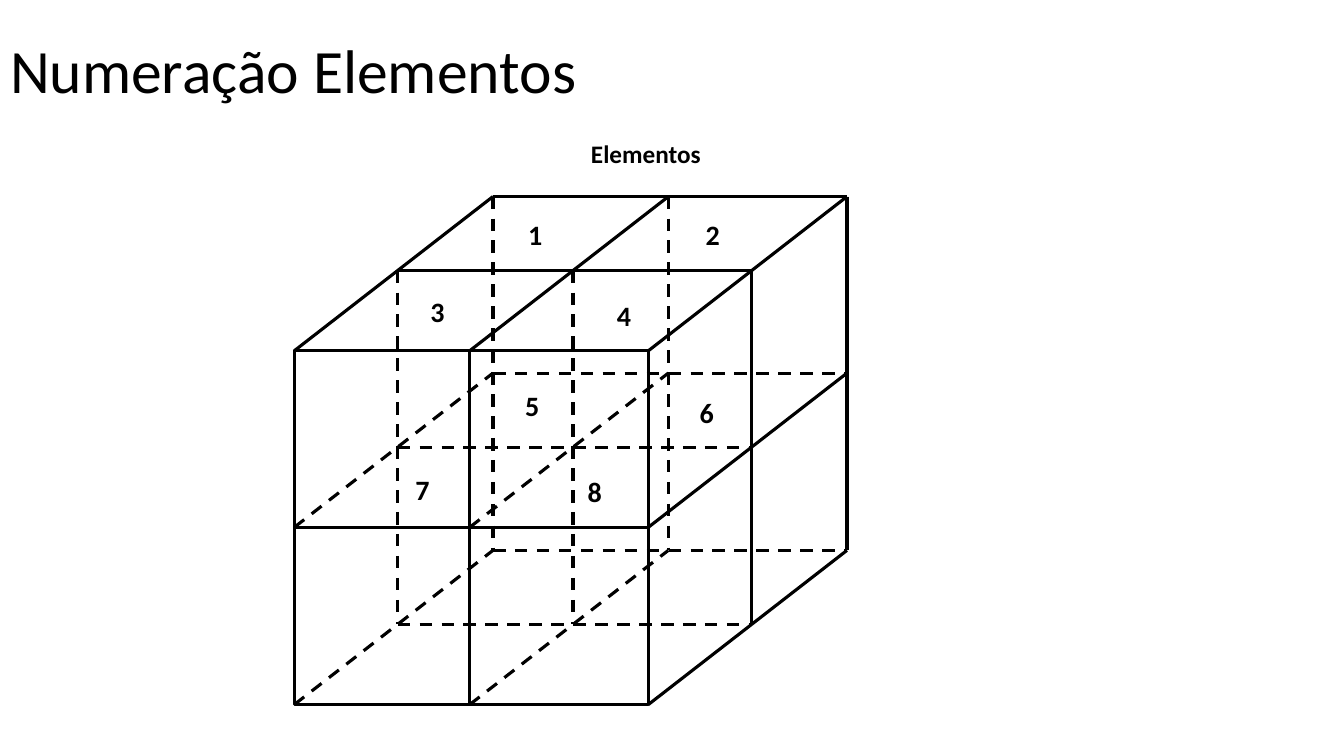
from dataclasses import dataclass
from itertools import product

from lxml.etree import SubElement
from pptx import Presentation
from pptx.dml.color import RGBColor
from pptx.enum.dml import MSO_LINE
from pptx.enum.shapes import MSO_CONNECTOR, MSO_SHAPE
from pptx.enum.text import MSO_ANCHOR, MSO_AUTO_SIZE, PP_ALIGN
from pptx.oxml.ns import qn
from pptx.util import Inches, Pt

COLORS = {"ink": "000000", "paper": "FFFFFF"}
FONT = "Calibri"
LINE_WIDTH = Pt(2.24)

COLUMNS = (21.9, 34.95, 48.24)
ROWS = (46.4, 69.75, 93.2)
DEPTHS = (0, 0.52, 1)
DEPTH_SHIFT = (14.78, -20.4)
LAST = 2


@dataclass(frozen=True)
class Box:
    left: float
    top: float
    width: float
    height: float


@dataclass(frozen=True)
class ElementLabel:
    number: int
    left: float
    top: float


@dataclass(frozen=True)
class Node:
    column: int
    row: int
    depth: int

    def position(self) -> tuple[int, int]:
        shift = DEPTHS[self.depth]
        return (across(COLUMNS[self.column] + shift * DEPTH_SHIFT[0]),
                down(ROWS[self.row] + shift * DEPTH_SHIFT[1]))


@dataclass(frozen=True)
class Edge:
    start: Node
    end: Node

    def lies_on(self, axis: str, index: int) -> bool:
        return getattr(self.start, axis) == getattr(self.end, axis) == index

    def is_visible(self) -> bool:
        return (self.lies_on("depth", 0) or self.lies_on("row", 0)
                or self.lies_on("column", LAST))

    def is_front_outline(self) -> bool:
        return self.lies_on("depth", 0) and any(
            self.lies_on(axis, index)
            for axis, index in product(("column", "row"), (0, LAST)))


ELEMENT_LABELS = (
    ElementLabel(1, 38.56, 28.13), ElementLabel(2, 51.76, 28.13),
    ElementLabel(3, 31.28, 38.27), ElementLabel(4, 45.16, 38.8),
    ElementLabel(5, 38.33, 50.8), ElementLabel(6, 51.31, 51.6),
    ElementLabel(7, 30.16, 61.87), ElementLabel(8, 42.99, 62.13),
)

presentation = Presentation()
presentation.slide_width = Inches(13.33)
presentation.slide_height = Inches(7.5)
slide = presentation.slides.add_slide(presentation.slide_layouts[5])


def across(percent: float) -> int:
    return round(presentation.slide_width * percent / 100)


def down(percent: float) -> int:
    return round(presentation.slide_height * percent / 100)


def frame(box: Box) -> tuple[int, int, int, int]:
    return across(box.left), down(box.top), across(box.width), down(box.height)


def color(name: str) -> RGBColor:
    return RGBColor.from_string(COLORS[name])


def write(shape, text: str, size: float, bold: bool, alignment: PP_ALIGN,
          anchor: MSO_ANCHOR, wrap: bool) -> None:
    text_frame = shape.text_frame
    text_frame.auto_size = MSO_AUTO_SIZE.NONE
    text_frame.word_wrap = wrap
    text_frame.vertical_anchor = anchor
    paragraph = text_frame.paragraphs[0]
    paragraph.alignment = alignment
    run = paragraph.add_run()
    run.text = text
    run.font.name = FONT
    run.font.size = Pt(size)
    run.font.bold = bold
    run.font.color.rgb = color("ink")


def style_line(shape) -> None:
    shape.line.color.rgb = color("ink")
    shape.line.width = LINE_WIDTH


def draw_title(text: str) -> None:
    title = slide.shapes.title
    title.left, title.top, title.width, title.height = frame(Box(0, 0, 86.27, 19.33))
    write(title, text, 44, False, PP_ALIGN.LEFT, MSO_ANCHOR.MIDDLE, True)
    title.text_frame.paragraphs[0].line_spacing = 0.9


def draw_front_face() -> None:
    face = slide.shapes.add_shape(MSO_SHAPE.RECTANGLE, *frame(
        Box(COLUMNS[0], ROWS[0], COLUMNS[LAST] - COLUMNS[0], ROWS[LAST] - ROWS[0])))
    face.shadow.inherit = False
    face.fill.background()
    style_line(face)


def draw_edge(edge: Edge) -> None:
    connector = slide.shapes.add_connector(
        MSO_CONNECTOR.STRAIGHT, *edge.start.position(), *edge.end.position())
    style_line(connector)
    if not edge.is_visible():
        connector.line.dash_style = MSO_LINE.DASH
    SubElement(connector._element.spPr, qn("a:effectLst"))


def draw_label(label: ElementLabel) -> None:
    shape = slide.shapes.add_shape(
        MSO_SHAPE.RECTANGLE, *frame(Box(label.left, label.top, 2.55, 5.73)))
    shape.shadow.inherit = False
    shape.fill.solid()
    shape.fill.fore_color.rgb = color("paper")
    shape.line.fill.background()
    write(shape, str(label.number), 20, True, PP_ALIGN.LEFT, MSO_ANCHOR.TOP, False)


def draw_caption(text: str) -> None:
    caption = slide.shapes.add_textbox(*frame(Box(40.14, 17.6, 15.83, 5.33)))
    write(caption, text, 18, True, PP_ALIGN.CENTER, MSO_ANCHOR.TOP, True)


def lattice_edges() -> list[Edge]:
    edges = []
    for first, second in product(range(LAST + 1), repeat=2):
        edges += [
            Edge(Node(0, first, second), Node(LAST, first, second)),
            Edge(Node(first, 0, second), Node(first, LAST, second)),
            Edge(Node(first, second, 0), Node(first, second, LAST)),
        ]
    return edges


draw_title("Numeração Elementos")
draw_front_face()
for lattice_edge in lattice_edges():
    if not lattice_edge.is_front_outline():
        draw_edge(lattice_edge)
for element_label in ELEMENT_LABELS:
    draw_label(element_label)
draw_caption("Elementos")

presentation.save("out.pptx")
